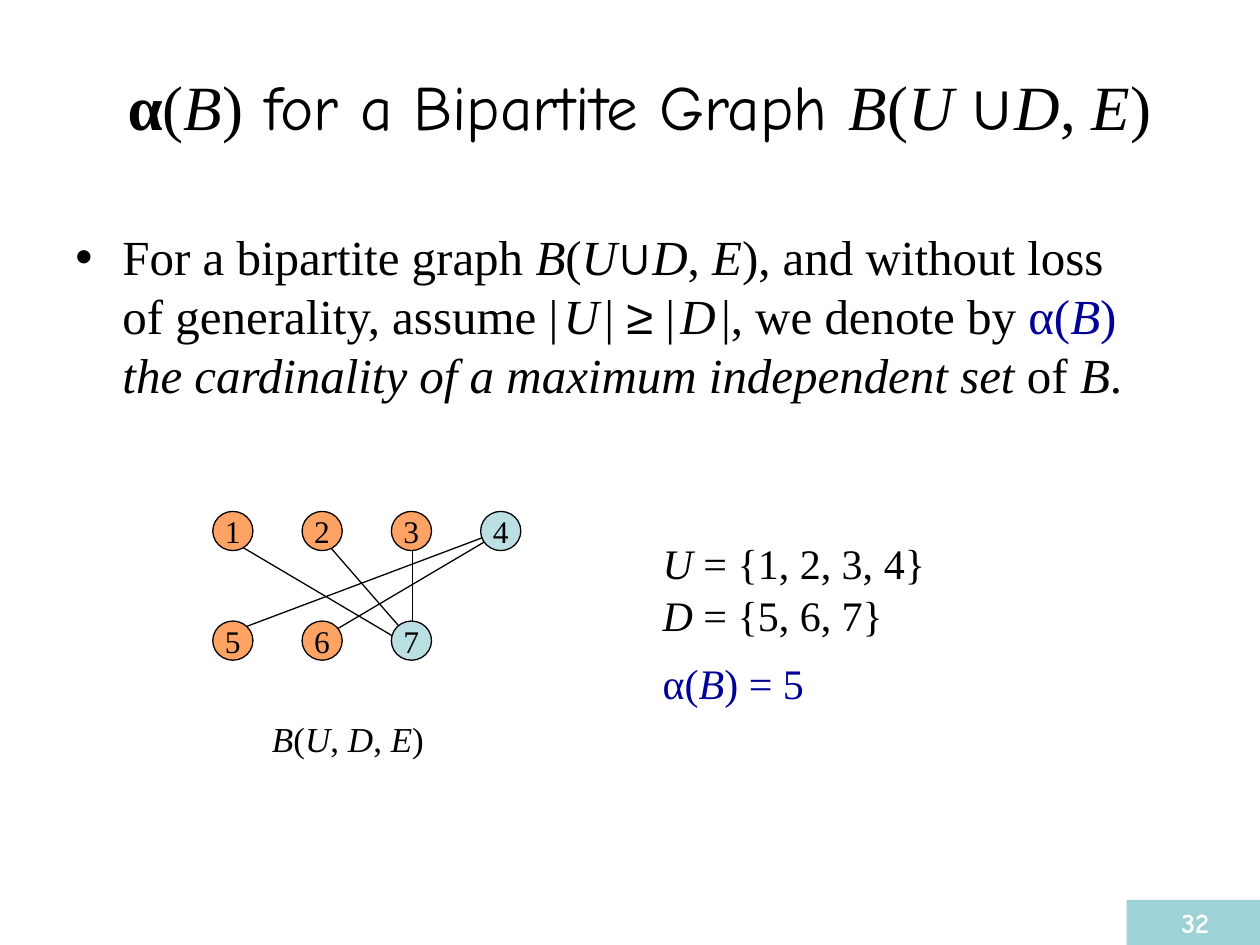
import pptx
import pptx.dml.color
import pptx.enum.shapes
import pptx.enum.text
import pptx.oxml.ns
import pptx.util
from lxml import etree
from pptx.util import Cm

SERIF, SANS, HAND = "Times New Roman", "Arial", "Comic Neue"
BLACK, WHITE, NAVY = "000000", "FFFFFF", "000099"
ORANGE, PALE_BLUE, TEAL = "FFA365", "BBE0E3", "9DD3D7"
ALIGN = pptx.enum.text.PP_ALIGN
ANCHOR = pptx.enum.text.MSO_ANCHOR
SHAPE = pptx.enum.shapes.MSO_SHAPE


def color(hex_string):
    return pptx.dml.color.RGBColor.from_string(hex_string)


def add_xml(parent, tag, **attributes):
    return etree.SubElement(parent, pptx.oxml.ns.qn(tag), **attributes)


class SlideBuilder:
    """Adds elements in one style; *stars* in a text mark italics."""

    def __init__(self, slide):
        self.slide = slide

    def fill_text(self, shape, pieces, size, font=SERIF, ink=BLACK, bold=None,
                  align=ALIGN.LEFT, anchor=ANCHOR.TOP, wrap=True,
                  bullet=False):
        frame = shape.text_frame
        frame.word_wrap = wrap
        frame.vertical_anchor = anchor
        paragraph = frame.paragraphs[0]
        paragraph.alignment = align
        if bullet:
            properties = paragraph._p.get_or_add_pPr()
            properties.set("marL", str(Cm(0.95)))
            properties.set("indent", str(-Cm(0.95)))
            add_xml(properties, "a:buFont", typeface=SANS)
            add_xml(properties, "a:buChar", char="•")
        paragraph.font.size = pptx.util.Pt(size)
        paragraph.font.name = font
        paragraph.font.color.rgb = color(ink)
        paragraph.font.bold = bold
        for piece in pieces:
            text, changes = (piece, {}) if isinstance(piece, str) else piece
            for index, part in enumerate(text.split("*")):
                if part:
                    self.add_run(paragraph, part, index % 2 == 1, **changes)

    def add_run(self, paragraph, text, italic, size=None, font=None,
                ink=None, bold=None):
        run = paragraph.add_run()
        run.text = text
        if italic:
            run.font.italic = True
        if size:
            run.font.size = pptx.util.Pt(size)
        if font:
            run.font.name = font
        if ink:
            run.font.color.rgb = color(ink)
        if bold:
            run.font.bold = True

    def text(self, left, top, width, height, pieces, size, **style):
        box = self.slide.shapes.add_textbox(
            Cm(left), Cm(top), Cm(width), Cm(height))
        self.fill_text(box, pieces, size, **style)

    def shape(self, kind, left, top, width, height, fill, label, size,
              outline=None, **style):
        shape = self.slide.shapes.add_shape(
            kind, Cm(left), Cm(top), Cm(width), Cm(height))
        shape.shadow.inherit = False
        shape.fill.solid()
        shape.fill.fore_color.rgb = color(fill)
        if outline:
            shape.line.color.rgb = color(outline)
            shape.line.width = pptx.util.Pt(0.75)
        else:
            shape.line.fill.background()
        self.fill_text(shape, [label], size, align=ALIGN.CENTER, **style)

    def line(self, x1, y1, x2, y2):
        line = self.slide.shapes.add_connector(
            pptx.enum.shapes.MSO_CONNECTOR.STRAIGHT,
            Cm(x1), Cm(y1), Cm(x2), Cm(y2))
        line.line.color.rgb = color(BLACK)
        line.line.width = pptx.util.Pt(0.75)
        add_xml(line._element.spPr, "a:effectLst")


def main():
    presentation = pptx.Presentation()
    presentation.slide_width = Cm(25.4)
    presentation.slide_height = Cm(19.05)
    builder = SlideBuilder(
        presentation.slides.add_slide(presentation.slide_layouts[6]))

    union = ("∪", {"font": SANS})
    thin_space = (" ", {"size": 12})

    # Title
    builder.text(
        1.27, 0.53, 23.24, 3.18,
        [("α", {"bold": True}), "(*B*)",
         (" for a Bipartite Graph ", {"font": HAND}),
         "*B*(*U *", union, "*D*, *E*)"],
        36, align=ALIGN.CENTER, anchor=ANCHOR.MIDDLE)

    # Definition
    builder.text(
        1.27, 4.45, 22.23, 12.57,
        ["For a bipartite graph *B*(*U*", union,
         "*D*, *E*), and without loss of generality, assume |",
         thin_space, "*U*", thin_space, "| ", ("≥", {"font": SANS}), " |",
         thin_space, "*D*", thin_space, "|, we denote by ",
         ("α(*B*) ", {"ink": NAVY}),
         "*the cardinality of a maximum independent set* of *B*."],
        28, bullet=True)

    # Vertex sets and result
    for top, statement, ink in [(10.72, "*U* = {1, 2, 3, 4}", BLACK),
                                (11.76, "*D* = {5, 6, 7}", BLACK),
                                (13.13, "α(*B*) = 5", NAVY)]:
        builder.text(13.11, top, 6, 1.27, [statement], 24, ink=ink)

    # Graph edges
    for edge in [(6.43, 10.77, 8.31, 12.93),   # 2 to 7
                 (8.31, 10.92, 8.31, 12.73),   # 3 to 7
                 (10.11, 10.72, 6.71, 12.73),  # 4 to 6
                 (9.91, 10.77, 4.7, 12.73),    # 4 to 5
                 (4.7, 10.92, 8.1, 12.93)]:    # 1 to 7
        builder.line(*edge)

    # Graph vertices; the independent set is orange
    for top, vertices in [(10.31, "1234"), (12.52, "567")]:
        for column, vertex in enumerate(vertices):
            fill = PALE_BLUE if vertex in "47" else ORANGE
            builder.shape(SHAPE.OVAL, 4.29 + 1.8 * column, top, 0.81, 0.79,
                          fill, vertex, 18, outline=BLACK,
                          anchor=ANCHOR.MIDDLE, wrap=False)

    # Graph caption
    builder.text(5.11, 14.33, 3.81, 1.12, ["*B*(*U*, *D*, *E*)"], 20,
                 align=ALIGN.CENTER)

    # Slide number
    builder.shape(SHAPE.RECTANGLE, 22.71, 18.14, 2.77, 0.91, TEAL, "32", 16,
                  font=HAND, ink=WHITE, bold=True)

    presentation.save("out.pptx")


if __name__ == "__main__":
    main()
